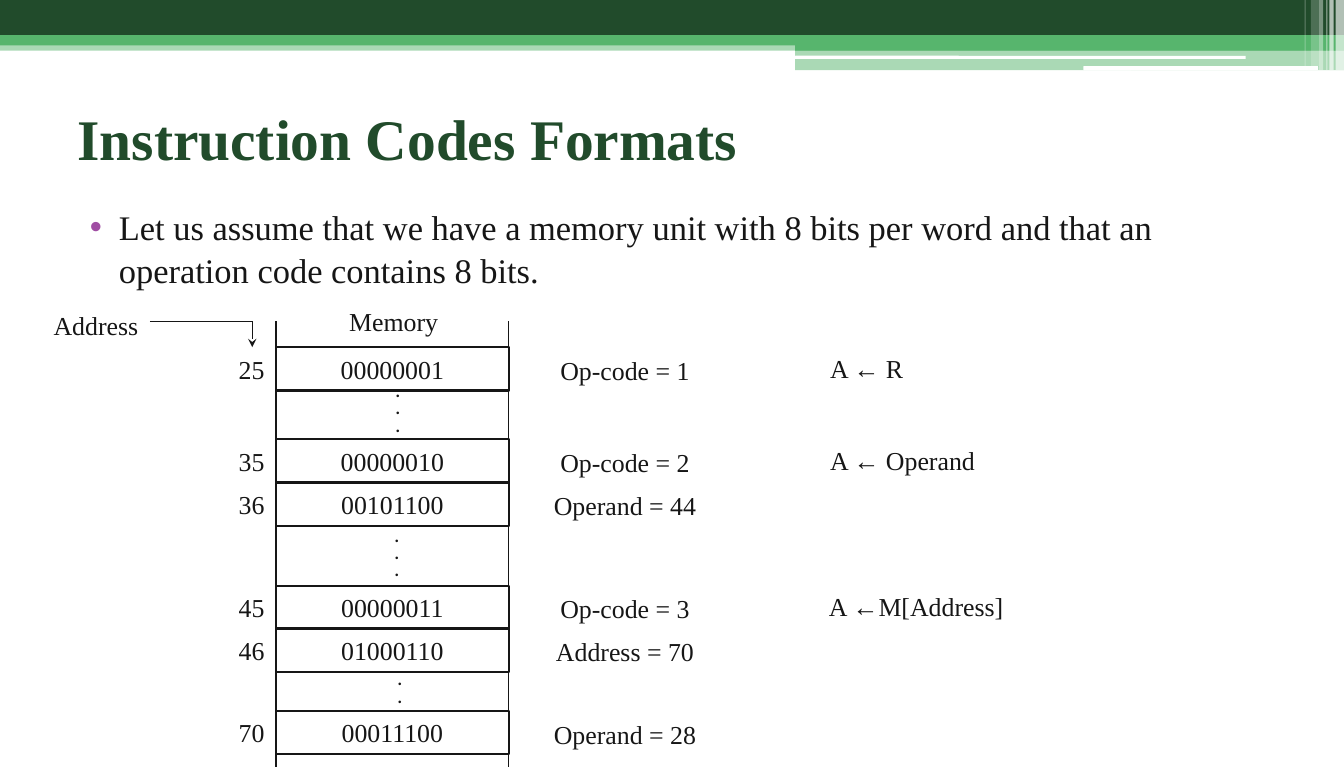
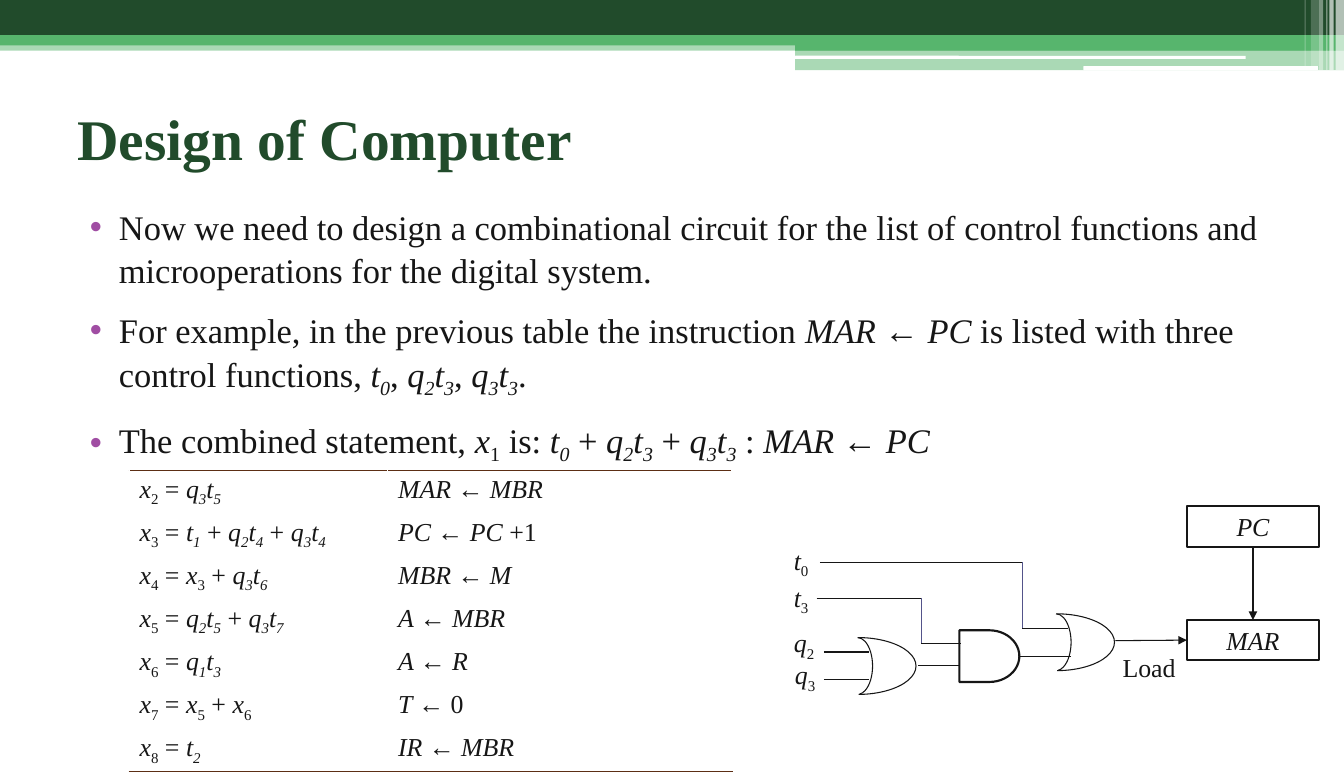
from lxml import etree
from pptx import Presentation
from pptx.dml.color import RGBColor
from pptx.enum.shapes import MSO_CONNECTOR, MSO_SHAPE
from pptx.enum.text import MSO_ANCHOR, MSO_AUTO_SIZE, PP_ALIGN
from pptx.oxml.ns import qn
from pptx.util import Inches, Pt

DARK_GREEN = RGBColor(0x21, 0x4B, 0x2B)
GREEN = RGBColor(0x57, 0xB5, 0x6D)
WHITE = RGBColor(0xFF, 0xFF, 0xFF)
INK = RGBColor(0x16, 0x16, 0x16)
PURPLE = RGBColor(0xA0, 0x4D, 0xA3)
BROWN = RGBColor(0x5C, 0x2E, 0x14)
SLATE = RGBColor(0x53, 0x54, 0x8A)

RECTANGLE = MSO_SHAPE.RECTANGLE
ROUNDED = MSO_SHAPE.ROUNDED_RECTANGLE
ARC = MSO_SHAPE.ARC
DELAY = MSO_SHAPE.FLOWCHART_DELAY
STRAIGHT = MSO_CONNECTOR.STRAIGHT
LEFT, CENTER = PP_ALIGN.LEFT, PP_ALIGN.CENTER
TOP, MIDDLE = MSO_ANCHOR.TOP, MSO_ANCHOR.MIDDLE
NO_FIT = MSO_AUTO_SIZE.NONE

SERIF = "Times New Roman"
DOT_FONT = "TeX Gyre Schola"

BANDS = [
    (RECTANGLE, (0, 0.4, 13, 0.09), GREEN, 50),
    (RECTANGLE, (0, 0, 13, 0.34), DARK_GREEN, 100),
    (RECTANGLE, (0, 0.34, 13, 0.1), GREEN, 100),
    (RECTANGLE, (7.69, 0.39, 5.31, 0.1), GREEN, 100),
    (RECTANGLE, (7.69, 0.48, 5.31, 0.2), GREEN, 50),
    (ROUNDED, (7.69, 0.54, 4.36, 0.03), WHITE, 100),
    (ROUNDED, (10.48, 0.64, 2.27, 0.04), WHITE, 100),
    (RECTANGLE, (12.92, 0, 0.08, 0.68), WHITE, 65),
    (RECTANGLE, (12.86, 0, 0.04, 0.68), WHITE, 65),
    (RECTANGLE, (12.83, 0, 0.01, 0.68), WHITE, 60),
    (RECTANGLE, (12.76, 0, 0.04, 0.68), WHITE, 40),
    (RECTANGLE, (12.68, 0, 0.08, 0.64), WHITE, 20),
    (RECTANGLE, (12.62, 0, 0.01, 0.64), WHITE, 30),
]


def inches(values):
    return [Inches(value) for value in values]


def split_spans(markup):
    spans, italic, lowered = [], False, False
    for letter in markup:
        if letter == "*":
            italic = not italic
        elif letter == "_":
            lowered = True
        else:
            if spans and spans[-1][1:] == (italic, lowered):
                spans[-1] = (spans[-1][0] + letter, italic, lowered)
            else:
                spans.append((letter, italic, lowered))
            lowered = False
    return spans


class SlideBuilder:
    def __init__(self, deck):
        self.deck = deck
        self.page = None

    def start(self, title, points):
        self.page = self.deck.slides.add_slide(self.deck.slide_layouts[1])
        for kind, frame, color, opacity in BANDS:
            self.shape(kind, frame, fill=color, opacity=opacity)
        heading = self.page.shapes.title
        self.place(heading, (0.65, 0.75, 11.7, 1.17))
        self.set_lines(heading.text_frame, [title], size=40, color=DARK_GREEN, bold=True, anchor=MIDDLE)
        body = self.page.placeholders[1]
        self.place(body, (0.65, 1.93, 11.7, 4.73))
        self.set_lines(body.text_frame, points, size=24)
        for para in body.text_frame.paragraphs:
            self.bullet(para)

    def place(self, box, frame):
        box.left, box.top, box.width, box.height = inches(frame)

    def bullet(self, para):
        para.space_before = Pt(12)
        para.line_spacing = 1.04
        properties = para._p.get_or_add_pPr()
        properties.set("marL", str(Inches(0.4)))
        properties.set("indent", str(Inches(-0.28)))
        color = etree.SubElement(properties, qn("a:buClr"))
        etree.SubElement(color, qn("a:srgbClr"), val=str(PURPLE))
        etree.SubElement(properties, qn("a:buChar"), char="•")

    def set_lines(self, frame, lines, size=18, color=INK, font=SERIF, bold=False,
                  align=LEFT, anchor=TOP, wrap=True):
        frame.word_wrap = wrap
        frame.auto_size = NO_FIT
        frame.vertical_anchor = anchor
        for index, line in enumerate(lines):
            para = frame.add_paragraph() if index else frame.paragraphs[0]
            self.spans(para, line, size, color, font, bold)
            para.alignment = align

    def spans(self, para, markup, size=18, color=INK, font=SERIF, bold=False):
        for text, italic, lowered in split_spans(markup):
            span = para.add_run()
            span.text = text
            span.font.name = font
            span.font.size = Pt(size)
            span.font.bold = bold
            span.font.italic = italic
            span.font.color.rgb = color
            if lowered:
                span._r.get_or_add_rPr().set("baseline", "-25000")

    def text(self, frame, *lines, **style):
        box = self.page.shapes.add_textbox(*inches(frame))
        self.set_lines(box.text_frame, lines, **{"wrap": False, **style})

    def shape(self, kind, frame, fill=None, opacity=100, line=None, adjust=(), label=None):
        box = self.page.shapes.add_shape(kind, *inches(frame))
        box.shadow.inherit = False
        for index, value in enumerate(adjust):
            box.adjustments[index] = value
        if fill is None:
            box.fill.background()
        else:
            box.fill.solid()
            box.fill.fore_color.rgb = fill
            if opacity < 100:
                color = box.element.spPr.find(".//" + qn("a:srgbClr"))
                etree.SubElement(color, qn("a:alpha"), val=str(opacity * 1000))
        if line is None:
            box.line.fill.background()
        else:
            box.line.color.rgb = INK
            box.line.width = Pt(line)
        if label:
            self.set_lines(box.text_frame, [label], align=CENTER, anchor=MIDDLE)
        return box

    def line(self, start, end, color=INK, arrow=None, begin=None, finish=None):
        connector = self.page.shapes.add_connector(STRAIGHT, *inches(start + end))
        if begin:
            connector.begin_connect(*begin)
        if finish:
            connector.end_connect(*finish)
        connector.line.color.rgb = color
        connector.line.width = Pt(0.75)
        properties = connector.element.spPr
        if arrow:
            etree.SubElement(properties.find(qn("a:ln")), qn("a:tailEnd"), type=arrow)
        etree.SubElement(properties, qn("a:effectLst"))

    def or_gate(self, left, top):
        self.shape(ARC, (left, top, 1.12, 0.55), line=0.75, adjust=(162, 53.27))
        self.shape(ARC, (left + 0.41, top, 0.29, 0.55), line=0.75, adjust=(162, 51.65))

    def table(self, frame, widths, rows):
        table = self.page.shapes.add_table(len(rows), len(widths), *inches(frame)).table
        table.first_row = table.horz_banding = False
        for column, width in zip(table.columns, widths):
            column.width = Inches(width)
        for row, texts in enumerate(rows):
            for column, markup in enumerate(texts):
                cell = table.cell(row, column)
                cell.fill.background()
                self.spans(cell.text_frame.paragraphs[0], markup)
                if row == 0:
                    self.border(cell, "a:lnT")
                if row == len(rows) - 1:
                    self.border(cell, "a:lnB")

    def border(self, cell, side):
        edge = etree.Element(qn(side), w=str(Pt(1)))
        fill = etree.SubElement(edge, qn("a:solidFill"))
        etree.SubElement(fill, qn("a:srgbClr"), val=str(BROWN))
        cell._tc.get_or_add_tcPr().insert(0, edge)


def build_memory_slide(builder):
    builder.start("Instruction Codes Formats", [
        "Let us assume that we have a memory unit with 8 bits per word "
        "and that an operation code contains 8 bits.",
    ])
    words = [
        (3.36, "25", "00000001", "Op-code = 1"),
        (4.25, "35", "00000010", "Op-code = 2"),
        (4.67, "36", "00101100", "Operand = 44"),
        (5.67, "45", "00000011", "Op-code = 3"),
        (6.08, "46", "01000110", "Address = 70"),
        (6.88, "70", "00011100", "Operand = 28"),
    ]
    for top, address, word, meaning in words:
        builder.shape(RECTANGLE, (2.67, top, 2.25, 0.42), line=1.5, label=word)
        builder.text((2.21, top + 0.01, 0.45, 0.4), address)
        builder.text((4.92, top + 0.01, 2.25, 0.42), meaning, align=CENTER, anchor=MIDDLE, wrap=True)

    for left, top, width, action in [
        (7.93, 3.36, 0.92, "A ← R"),
        (7.93, 4.25, 1.62, "A ← Operand"),
        (7.92, 5.67, 1.91, "A ←M[Address]"),
    ]:
        builder.text((left, top, width, 0.4), action)

    for left, top, count in [(3.73, 3.66, 3), (3.72, 5.06, 3), (3.75, 6.45, 2)]:
        builder.text((left, top, 0.29, 0.1 + 0.17 * count), *["."] * count,
                     size=10, font=DOT_FONT, bold=True, wrap=True)

    for side in (2.67, 4.92):
        builder.line((side, 3.11), (side, 7.42))
    builder.text((3.28, 2.91, 1.07, 0.4), "Memory")
    builder.text((0.42, 2.95, 1.03, 0.4), "Address")
    builder.line((1.45, 3.11), (2.44, 3.11))
    builder.line((2.44, 3.11), (2.44, 3.36), arrow="stealth")


def build_circuit_slide(builder):
    builder.start("Design of Computer", [
        "Now we need to design a combinational circuit for the list of control "
        "functions and microoperations for the digital system.",
        "For example, in the previous table the instruction *MAR ← PC* is listed "
        "with three control functions, *t_0*, *q_2t_3*, *q_3t_3*.",
        "The combined statement, *x*_1 is: *t_0* + *q_2t_3* + *q_3t_3* : *MAR ← PC*",
    ])
    builder.table((1.25, 4.55, 5.83, 2.87), (2.5, 3.33), [
        ("*x*_2 = *q_3t_5*", "*MAR ← MBR*"),
        ("*x*_3 = *t_1* + *q_2t_4* + *q_3t_4*", "*PC ← PC* +1"),
        ("*x*_4 = *x*_3 + *q_3t_6*", "*MBR ← M*"),
        ("*x*_5 = *q_2t_5* + *q_3t_7*", "*A ← MBR*"),
        ("*x*_6 = *q_1t_3*", "*A ← R*"),
        ("*x*_7 = *x*_5 + *x*_6", "*T ←* 0"),
        ("*x*_8 = *t_2*", "*IR ← MBR*"),
    ])

    for left, top, width, signal in [
        (7.58, 5.22, 0.36, "*t*_0"),
        (7.58, 5.58, 0.36, "*t*_3"),
        (7.58, 6.02, 0.41, "*q*_2"),
        (7.59, 6.33, 0.41, "*q*_3"),
        (10.76, 6.26, 0.72, "Load"),
    ]:
        builder.text((left, top, width, 0.4), signal)

    builder.or_gate(7.74, 6.17)
    builder.or_gate(9.66, 5.94)
    and_gate = builder.shape(DELAY, (9.28, 6.1, 0.58, 0.5), line=1.5)
    counter = builder.shape(RECTANGLE, (11.48, 4.9, 1.28, 0.39), line=1.5, label="*PC*")
    register = builder.shape(RECTANGLE, (11.48, 6, 1.28, 0.39), line=1.5, label="*MAR*")

    for start, end, color in [
        ((7.93, 5.44), (9.89, 5.44), INK),
        ((9.89, 5.44), (9.89, 6.08), SLATE),
        ((9.89, 6.08), (10.33, 6.08), INK),
        ((7.9, 5.79), (8.91, 5.79), INK),
        ((8.91, 5.79), (8.91, 6.23), SLATE),
        ((8.91, 6.23), (9.3, 6.23), INK),
        ((7.97, 6.31), (8.41, 6.31), INK),
        ((7.97, 6.58), (8.41, 6.58), INK),
        ((8.88, 6.44), (9.29, 6.44), INK),
    ]:
        builder.line(start, end, color)
    builder.line((9.86, 6.35), (10.36, 6.35), begin=(and_gate, 3))
    builder.line((10.79, 6.2), (11.48, 6.2), arrow="triangle", finish=(register, 1))
    builder.line((12.12, 5.29), (12.12, 6), arrow="triangle",
                 begin=(counter, 2), finish=(register, 0))


def main():
    deck = Presentation()
    deck.slide_width, deck.slide_height = inches((13, 7.5))
    builder = SlideBuilder(deck)
    build_memory_slide(builder)
    build_circuit_slide(builder)
    deck.save("out.pptx")


if __name__ == "__main__":
    main()
